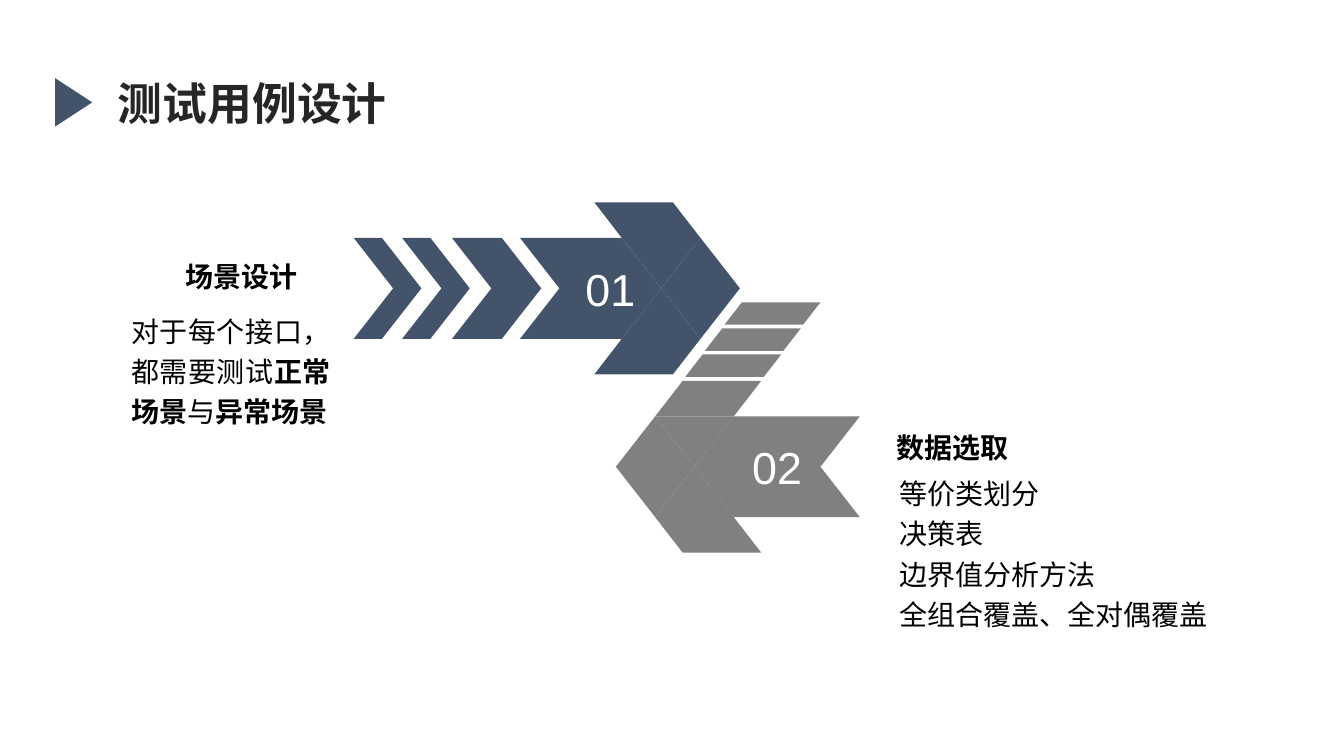
from lxml import etree
from pptx import Presentation
from pptx.dml.color import RGBColor
from pptx.enum import shapes, text
from pptx.oxml.ns import qn
from pptx.util import Pt

COLORS = {"blue": "435369", "gray": "808080", "title": "262626", "black": "000000", "white": "FFFFFF"}
CJK = "Noto Sans CJK SC"
LEFT, CENTER, JUSTIFY = text.PP_ALIGN.LEFT, text.PP_ALIGN.CENTER, text.PP_ALIGN.JUSTIFY
PLAIN_INSETS = (7.2, 3.6, 7.2, 3.6)
HEADING_INSETS = (9.4, 3.6, 9.4, 5)

TITLE = [[("测试用例设计", True)]]
SCENE_HEADING = [[("场景设计", True)]]
SCENE_TEXT = [[("对于每个接口，都需要测试", False), ("正常场景", True), ("与", False), ("异常场景", True)]]
DATA_HEADING = [[("数据选取", True)]]
DATA_METHODS = [[(method, False)] for method in ("等价类划分", "决策表", "边界值分析方法", "全组合覆盖、全对偶覆盖")]

TITLE_STYLE = dict(size=32, color="title", font="Arial", align=LEFT, spacing=1, before=0, insets=PLAIN_INSETS)
HEADING_STYLE = dict(size=20, color="black", font="Arial", align=CENTER, spacing=1.5, before=6, insets=HEADING_INSETS)
BODY_STYLE = dict(size=20, color="black", font=CJK, align=JUSTIFY, spacing=1.2, before=0, insets=PLAIN_INSETS)

PLACEHOLDERS = [
    (0, TITLE, (77, 50.4, 225.4, 46), TITLE_STYLE),
    (1, SCENE_HEADING, (61.9, 169.9, 221.8, 40.3), HEADING_STYLE),
    (2, SCENE_TEXT, (86.4, 216, 157, 92.9), BODY_STYLE),
    (3, DATA_HEADING, (579.6, 291.6, 201.6, 40.3), HEADING_STYLE),
    (4, DATA_METHODS, (635, 331.9, 276.5, 121.7), BODY_STYLE),
]

SLANT, HALF, FLAP_X, FLAP_Y, BAND = 28.1, 36, 19.6, 25.4, 56.1
CHEVRONS = [(322.9, 35.6), (287.3, 20.2), (252.7, 20.2)]
STRIP_COUNT, STRIP_LEFT, STRIP_TOP = 3, 529.9, 216
STRIP_STEP_X, STRIP_STEP_Y, STRIP_SLANT, STRIP_HEIGHT = -14, 18.6, 12.4, 16


def chevron(left, width, middle):
    right = left + width
    return [(left, middle - HALF), (right, middle - HALF), (right + SLANT, middle),
            (right, middle + HALF), (left, middle + HALF), (left + SLANT, middle)]


def arrow_pieces(center, middle, tail, toward):
    def at(x, y):
        return center + toward * x, middle + y

    neck, nose = -SLANT, SLANT
    flap = neck - FLAP_X
    hub = at(0, 0)
    pieces = [[at(neck, -HALF), at(tail, -HALF), at(tail + SLANT, 0), at(tail, HALF), at(neck, HALF), hub]]
    for side in (-1, 1):
        edge, tip = side * HALF, side * (HALF + FLAP_Y)
        pieces.append([at(neck, edge), at(nose, edge), at(flap + BAND, tip), at(flap, tip)])
        pieces.append([at(neck, edge), at(nose, edge), hub])
    pieces.append([at(nose, -HALF), at(nose + SLANT, 0), at(nose, HALF), hub])
    return pieces


def strip(number):
    left = STRIP_LEFT + number * STRIP_STEP_X
    top = STRIP_TOP + number * STRIP_STEP_Y
    bottom = top + STRIP_HEIGHT
    return [(left, top), (left + BAND, top), (left + BAND - STRIP_SLANT, bottom), (left - STRIP_SLANT, bottom)]


def paint(shape, color):
    shape.shadow.inherit = False
    shape.fill.solid()
    shape.fill.fore_color.rgb = RGBColor.from_string(COLORS[color])
    shape.line.fill.background()


def draw_outline(group, points, color):
    points = [(Pt(x), Pt(y)) for x, y in points]
    builder = group.shapes.build_freeform(*points[0])
    builder.add_line_segments(points[1:])
    shape = builder.convert_to_shape()
    paint(shape, color)
    return shape


def format_span(span, size, color, font, bold):
    span.font.size = Pt(size)
    span.font.bold = bold
    span.font.name = font
    span.font.color.rgb = RGBColor.from_string(COLORS[color])
    etree.SubElement(span.font._element, qn("a:ea"), typeface=CJK)


def fill_placeholder(box, paragraphs, place, style):
    box.left, box.top, box.width, box.height = map(Pt, place)
    frame = box.text_frame
    frame.word_wrap = True
    frame.auto_size = text.MSO_AUTO_SIZE.SHAPE_TO_FIT_TEXT
    frame.vertical_anchor = text.MSO_ANCHOR.TOP
    frame.margin_left, frame.margin_top, frame.margin_right, frame.margin_bottom = map(Pt, style["insets"])
    for index, pieces in enumerate(paragraphs):
        para = frame.add_paragraph() if index else frame.paragraphs[0]
        para.alignment = style["align"]
        para.line_spacing = style["spacing"]
        para.space_before = Pt(style["before"])
        para.space_after = Pt(0)
        properties = para._p.get_or_add_pPr()
        properties.set("marL", "0")
        properties.set("indent", "0")
        etree.SubElement(properties, qn("a:buNone"))
        for wording, bold in pieces:
            span = para.add_run()
            span.text = wording
            format_span(span, style["size"], style["color"], style["font"], bold)


def draw_arrow(page, number, color, pieces, extras, shift):
    group = page.shapes.add_group_shape()
    drawn = [draw_outline(group, points, color) for points in pieces + extras]
    frame = drawn[0].text_frame
    frame.text = number
    frame.margin_left = Pt(7.2 + shift)
    frame.vertical_anchor = text.MSO_ANCHOR.MIDDLE
    para = frame.paragraphs[0]
    para.alignment = CENTER
    format_span(para.runs[0], 32, "white", "Arial", False)


def main():
    deck = Presentation()
    deck.slide_width, deck.slide_height = Pt(960), Pt(540)
    page = deck.slides.add_slide(deck.slide_layouts[4])
    boxes = {box.placeholder_format.idx: box for box in page.placeholders}
    for index, paragraphs, place, style in PLACEHOLDERS:
        fill_placeholder(boxes[index], paragraphs, place, style)

    marker = page.shapes.add_shape(shapes.MSO_SHAPE.ISOSCELES_TRIANGLE, Pt(35.3), Pt(59.8), Pt(34.6), Pt(26.6))
    marker.rotation = 90
    paint(marker, "blue")

    strips = [strip(number) for number in range(STRIP_COUNT)]
    chevrons = [chevron(left, width, 206) for left, width in CHEVRONS]
    draw_arrow(page, "02", "gray", arrow_pieces(496.1, 333.4, -118.1, -1), strips, 0)
    draw_arrow(page, "01", "blue", arrow_pieces(472.3, 206, -100.8, 1), chevrons, SLANT)
    deck.save("out.pptx")


if __name__ == "__main__":
    main()
